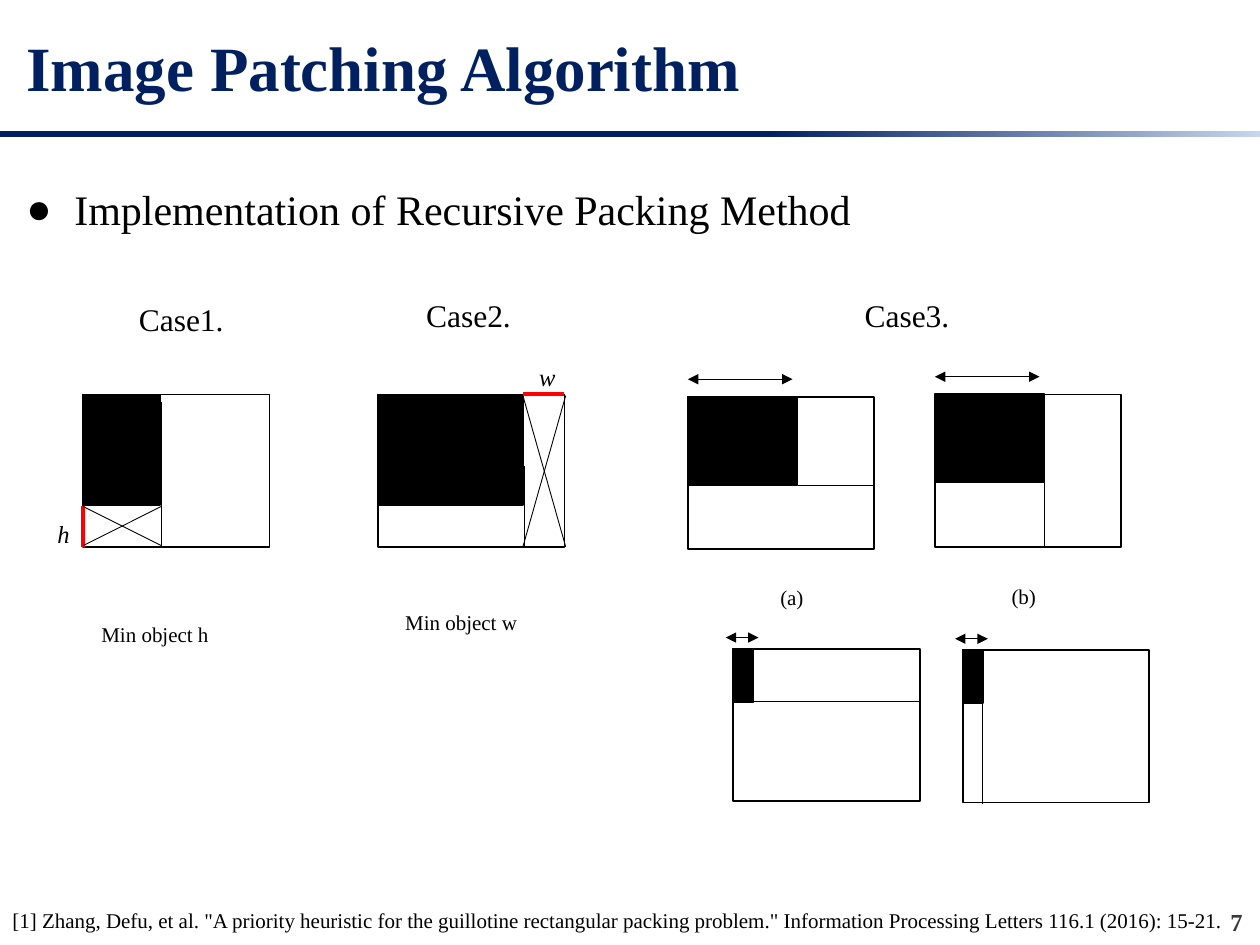
from lxml import etree
from pptx import Presentation
from pptx.dml.color import RGBColor
from pptx.enum.shapes import MSO_CONNECTOR, MSO_SHAPE
from pptx.enum.text import MSO_ANCHOR, MSO_AUTO_SIZE, PP_ALIGN
from pptx.oxml.ns import qn
from pptx.util import Emu, Pt

PX = 9144
FONT = "Times New Roman"
NAVY, PALE, BLACK, RED, GRAY = "002060", "C7D5ED", "000000", "FF0000", "3B3838"
BIN_WIDTH, BIN_HEIGHT = 148, 121
LEFT, CENTER, RIGHT = PP_ALIGN.LEFT, PP_ALIGN.CENTER, PP_ALIGN.RIGHT
MIDDLE, TOP = MSO_ANCHOR.MIDDLE, MSO_ANCHOR.TOP
GROW, FIXED = MSO_AUTO_SIZE.SHAPE_TO_FIT_TEXT, MSO_AUTO_SIZE.NONE
RECTANGLE, STRAIGHT = MSO_SHAPE.RECTANGLE, MSO_CONNECTOR.STRAIGHT


def px(*values):
    """Turn px lengths into EMU."""
    return [Emu(value * PX) for value in values]


def color(hex_string):
    """Turn a hex string into a colour."""
    return RGBColor.from_string(hex_string)


def place(shape, box):
    """Move a shape to the given box."""
    shape.left, shape.top, shape.width, shape.height = px(*box)


def write(shape, text, size, align=LEFT, spacing=1.0, ink=BLACK, bold=False, italic=False):
    """Set one formatted paragraph and return it."""
    frame = shape.text_frame
    frame.word_wrap = True
    frame.text = text
    paragraph = frame.paragraphs[0]
    paragraph.alignment = align
    paragraph.line_spacing = spacing
    paragraph.space_before = Pt(0)
    font = paragraph.runs[0].font
    font.name, font.size, font.bold, font.italic = FONT, Pt(size), bold, italic
    font.color.rgb = color(ink)
    return paragraph


def add_label(slide, box, text, size, align=CENTER, spacing=1.5, **style):
    """Add a text box that grows with its text."""
    label = slide.shapes.add_textbox(*px(*box))
    write(label, text, size, align, spacing, **style)
    label.text_frame.auto_size = GROW


def add_rectangle(slide, box, fill=None):
    """Add a black-outlined rectangle, filled or empty."""
    shape = slide.shapes.add_shape(RECTANGLE, *px(*box))
    shape.shadow.inherit = False
    if fill:
        shape.fill.solid()
        shape.fill.fore_color.rgb = color(fill)
    else:
        shape.fill.background()
    shape.line.color.rgb = color(BLACK)
    shape.line.width = Pt(1)


def add_line(slide, start, end, ink=BLACK, width=0.5, arrows=False):
    """Add a straight line, with arrowheads at both ends on request."""
    line = slide.shapes.add_connector(STRAIGHT, *px(*start, *end))
    line.line.color.rgb = color(ink)
    line.line.width = Pt(width)
    if arrows:
        outline = line.line._get_or_add_ln()
        for end_name in ("a:headEnd", "a:tailEnd"):
            etree.SubElement(outline, qn(end_name), type="triangle")
    etree.SubElement(line._element.spPr, qn("a:effectLst"))


def add_bin(slide, left, top, piece):
    """Draw the bin with a packed piece in its top left corner."""
    add_rectangle(slide, (left, top, BIN_WIDTH, BIN_HEIGHT))
    add_rectangle(slide, (left, top, *piece), BLACK)


def add_cross(slide, left, top, right, bottom):
    """Cross out a wasted region."""
    add_line(slide, (left, top), (right, bottom))
    add_line(slide, (right, top), (left, bottom))


def add_header(slide):
    """Fill the title and draw the gradient rule under it."""
    title = slide.shapes.title
    place(title, (11, 13, 949, 80))
    write(title, "Image Patching Algorithm", 36, ink=NAVY, bold=True)
    title.text_frame.vertical_anchor = MIDDLE
    title.text_frame.auto_size = FIXED
    rule = slide.shapes.add_shape(RECTANGLE, *px(0, 104, 1000, 5))
    rule.shadow.inherit = False
    rule.line.fill.background()
    rule.fill.gradient()
    rule.fill.gradient_angle = 0
    for stop, position, ink in zip(rule.fill.gradient_stops, (0.61, 1), (NAVY, PALE)):
        stop.position = position
        stop.color.rgb = color(ink)


def add_body(slide):
    """Fill the body with its single bullet."""
    body = slide.placeholders[1]
    place(body, (11, 121, 973, 63))
    paragraph = write(body, "Implementation of Recursive Packing Method", 24, spacing=1.5)
    body.text_frame.vertical_anchor = TOP
    body.text_frame.auto_size = GROW
    properties = paragraph._p.get_or_add_pPr()
    indent = 38 * PX
    properties.set("marL", str(indent))
    properties.set("indent", str(-indent))
    etree.SubElement(properties, qn("a:buFont"), typeface=FONT)
    etree.SubElement(properties, qn("a:buChar"), char="●")


def add_case1(slide, left, top):
    """Draw the case where the strip below the piece is too low."""
    width, height = 61, 88
    right, bottom = left + width + 1, top + BIN_HEIGHT
    add_label(slide, (left + 14, top - 95, 134, 50), "Case1. ", 18)
    add_bin(slide, left, top, (width, height))
    add_line(slide, (right, top + 6), (right, bottom))
    add_line(slide, (left, top + height + 1), (left, bottom), RED, 2.25)
    add_cross(slide, left, top + height + 1, right, bottom - 1)
    add_label(slide, (left - 32, top + 82, 33, 41), "h", 14, italic=True)
    add_label(slide, (left - 12, top + 165, 138, 37), "Min object h", 12)


def add_case2(slide, left, top):
    """Draw the case where the strip beside the piece is too narrow."""
    width, height = 115, 88
    strip, right, bottom = left + width, left + BIN_WIDTH, top + BIN_HEIGHT
    add_label(slide, (left + 8, top - 98, 134, 50), "Case2. ", 18)
    add_bin(slide, left, top, (width, height))
    add_line(slide, (strip + 1, top + 57), (strip + 1, bottom))
    add_line(slide, (strip, top), (right, top), RED, 2.25)
    add_cross(slide, strip, top + 1, right + 1, bottom)
    add_label(slide, (left + 118, top - 42, 33, 41), "w", 14, italic=True)
    add_label(slide, (left - 3, top + 156, 138, 37), "Min object w", 12)


def add_cut(slide, left, top, piece, arrow, across):
    """Draw a bin cut along the piece, with its width arrow above."""
    width, height = piece
    offset, length, gap = arrow
    add_bin(slide, left, top, piece)
    if across:
        add_line(slide, (left + width, top + height), (left + BIN_WIDTH, top + height))
    else:
        add_line(slide, (left + width, top + height), (left + width, top + BIN_HEIGHT + 1))
    start = left + offset
    add_line(slide, (start, top - gap), (start + length, top - gap), arrows=True)


def add_case3(slide, left, top):
    """Draw the two ways of cutting, for a large and a small piece."""
    large, small = (87, 70), (16, 42)
    large_arrow, small_arrow = (0, 83, 14), (-6, 26, 9)
    add_label(slide, (left + 110, top - 100, 134, 50), "Case3. ", 18)
    add_cut(slide, left, top, large, large_arrow, True)
    add_cut(slide, left + 196, top - 2, large, large_arrow, False)
    add_label(slide, (left + 55, top + 134, 55, 37), "(a)", 12)
    add_label(slide, (left + 239, top + 133, 55, 37), "(b)", 12)
    add_cut(slide, left + 36, top + 200, small, small_arrow, True)
    add_cut(slide, left + 218, top + 201, small, small_arrow, False)


def add_footer(slide):
    """Add the reference and the page number."""
    reference = (
        '[1] Zhang, Defu, et al. "A priority heuristic for the guillotine rectangular '
        'packing problem." Information Processing Letters 116.1 (2016): 15-21.'
    )
    add_label(slide, (0, 705, 984, 37), reference, 12, LEFT)
    add_label(slide, (954, 715, 42, 30), "7", 14, RIGHT, 1.0, ink=GRAY, bold=True)


def main():
    """Build the slide and save it."""
    presentation = Presentation()
    presentation.slide_width, presentation.slide_height = px(1000, 750)
    slide = presentation.slides.add_slide(presentation.slide_layouts[1])
    add_header(slide)
    add_body(slide)
    add_case1(slide, 66, 313)
    add_case2(slide, 300, 313)
    add_case3(slide, 546, 315)
    add_footer(slide)
    presentation.save("out.pptx")


if __name__ == "__main__":
    main()
